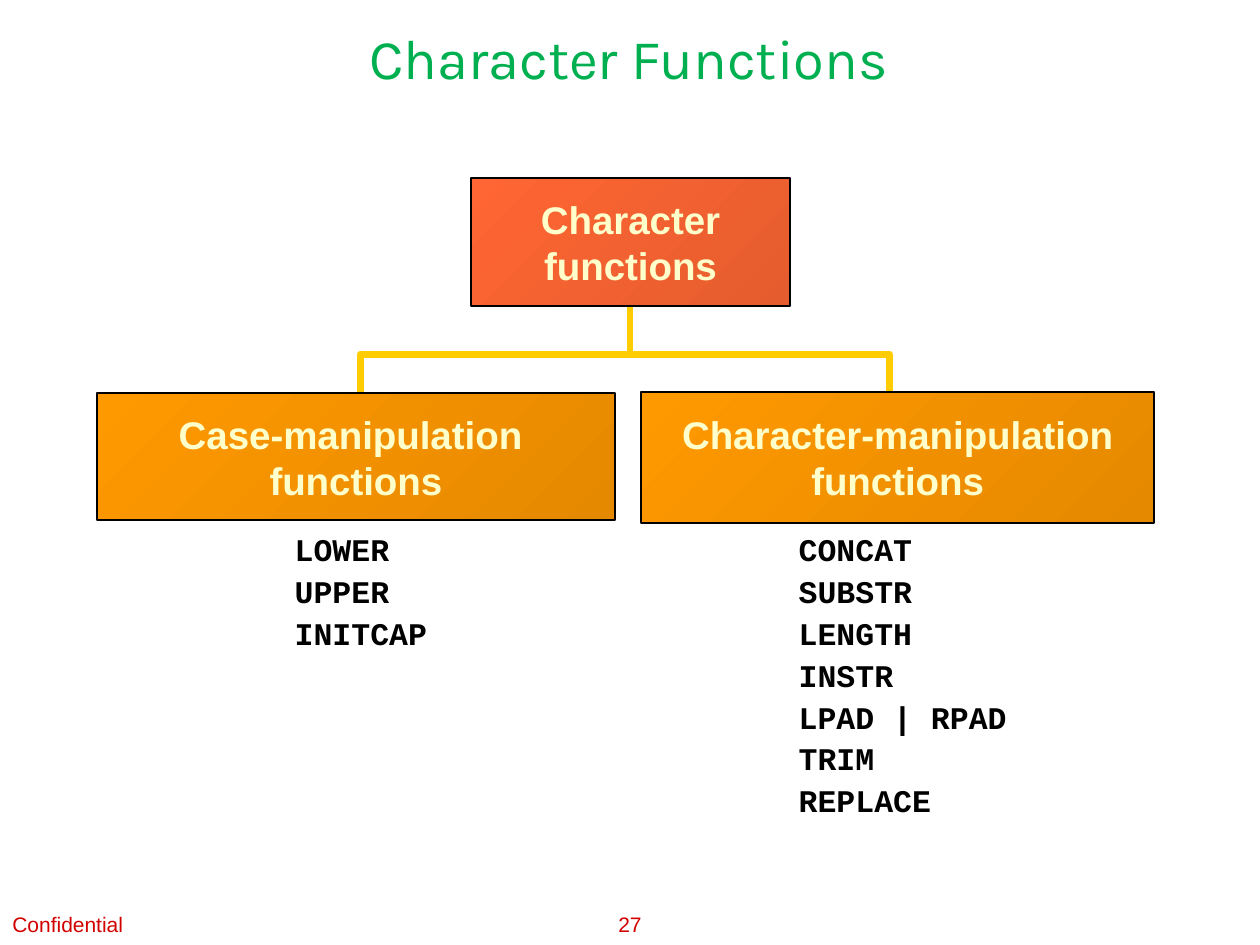
from lxml import etree
from pptx import Presentation
from pptx.dml.color import RGBColor
from pptx.enum.shapes import MSO_CONNECTOR, MSO_SHAPE
from pptx.enum.text import MSO_ANCHOR, PP_ALIGN
from pptx.oxml.ns import qn
from pptx.util import Inches, Pt

LEFT, CENTER = PP_ALIGN.LEFT, PP_ALIGN.CENTER
TOP, MIDDLE = MSO_ANCHOR.TOP, MSO_ANCHOR.MIDDLE
RECTANGLE, STRAIGHT = MSO_SHAPE.RECTANGLE, MSO_CONNECTOR.STRAIGHT

THEME = {
    "title": {"font": "Karla", "size": 32, "color": "00B050"},
    "box": {"font": "Arial", "size": 22, "color": "FFFFCC", "bold": True},
    "list": {"font": "Courier New", "size": 18, "color": "000000", "bold": True},
    "footer": {"font": "Arial", "size": 12, "color": "D20000"},
    "root_fill": ("FF6633", "E55C2E"),
    "branch_fill": ("FF9900", "E58900"),
    "outline": ("000000", 1),
    "link": ("FFCC00", 4),
}

# Content: places are left, top, width, height in inches
TITLE = (["Character Functions"], (0.94, 0.14, 8.1, 0.96))
ROOT = (["Character", "functions"], (3.74, 1.41, 2.53, 1.02))
BRANCHES = [
    {
        "label": ["Case-manipulation ", "functions"],
        "place": (0.77, 3.12, 4.11, 1.01),
        "names": ["LOWER", "UPPER", "INITCAP"],
        "names_place": (2.24, 4.19, 1.25, 1.04),
    },
    {
        "label": ["Character-manipulation", "functions"],
        "place": (5.09, 3.11, 4.07, 1.04),
        "names": ["CONCAT", "SUBSTR", "LENGTH", "INSTR", "LPAD | RPAD",
                  "TRIM", "REPLACE"],
        "names_place": (6.24, 4.19, 1.88, 2.37),
    },
]
FOOTERS = [
    (["Confidential"], (0, 7.17, 1.33, 0.33), LEFT),
    (["27"], (4.25, 7.17, 1.5, 0.33), CENTER),
]
STEM = [(5, 2.79), (5, 2.44)]
BRACKET = [(2.86, 3.36), (2.86, 2.81), (7.06, 2.81), (7.06, 3.4)]


def inches(values):
    return [Inches(value) for value in values]


def write(shape, lines, style, align=LEFT, anchor=TOP, wrap=True,
          line_spacing=None, space_before=None):
    """Write one paragraph per line in the given style."""
    frame = shape.text_frame
    frame.word_wrap = wrap
    frame.vertical_anchor = anchor
    frame.text = "\n".join(lines)
    for paragraph in frame.paragraphs:
        paragraph.alignment = align
        paragraph.line_spacing = line_spacing
        if space_before is not None:
            paragraph.space_before = Pt(space_before)
        font = paragraph.runs[0].font
        font.name, font.size = style["font"], Pt(style["size"])
        font.bold = style.get("bold", False)
        font.color.rgb = RGBColor.from_string(style["color"])


def set_line(shape, color, width):
    shape.line.color.rgb = RGBColor.from_string(color)
    shape.line.width = Pt(width)


def add_text(slide, lines, place, style, **options):
    write(slide.shapes.add_textbox(*inches(place)), lines, style, **options)


def add_box(slide, lines, place, colors):
    shape = slide.shapes.add_shape(RECTANGLE, *inches(place))
    shape.shadow.inherit = False
    shape.fill.gradient()
    shape.fill.gradient_angle = 315  # counter-clockwise: towards bottom right
    for stop, position, color in zip(shape.fill.gradient_stops, (0, 1), colors):
        stop.position = position
        stop.color.rgb = RGBColor.from_string(color)
    set_line(shape, *THEME["outline"])
    write(shape, lines, THEME["box"], align=CENTER, anchor=MIDDLE, wrap=False)


def add_links(slide):
    start, end = STEM
    stem = slide.shapes.add_connector(STRAIGHT, *inches(start + end))
    set_line(stem, *THEME["link"])
    etree.SubElement(stem._element.spPr, qn("a:effectLst"))

    points = [inches(point) for point in BRACKET]
    builder = slide.shapes.build_freeform(*points[0])
    builder.add_line_segments(points[1:], close=False)
    bracket = builder.convert_to_shape()
    bracket.shadow.inherit = False
    bracket.fill.background()
    set_line(bracket, *THEME["link"])


def main():
    presentation = Presentation()
    presentation.slide_width, presentation.slide_height = Inches(10), Inches(7.5)
    slide = presentation.slides.add_slide(presentation.slide_layouts[6])

    # Title and top of the tree
    add_text(slide, *TITLE, THEME["title"], align=CENTER)
    add_box(slide, *ROOT, THEME["root_fill"])

    # Links lie behind the branch boxes
    add_links(slide)
    for branch in BRANCHES:
        add_box(slide, branch["label"], branch["place"], THEME["branch_fill"])
        add_text(slide, branch["names"], branch["names_place"], THEME["list"],
                 wrap=False, line_spacing=0.9, space_before=4.5)

    # Footer
    for lines, place, align in FOOTERS:
        add_text(slide, lines, place, THEME["footer"], align=align, anchor=MIDDLE)

    presentation.save("out.pptx")


if __name__ == "__main__":
    main()
